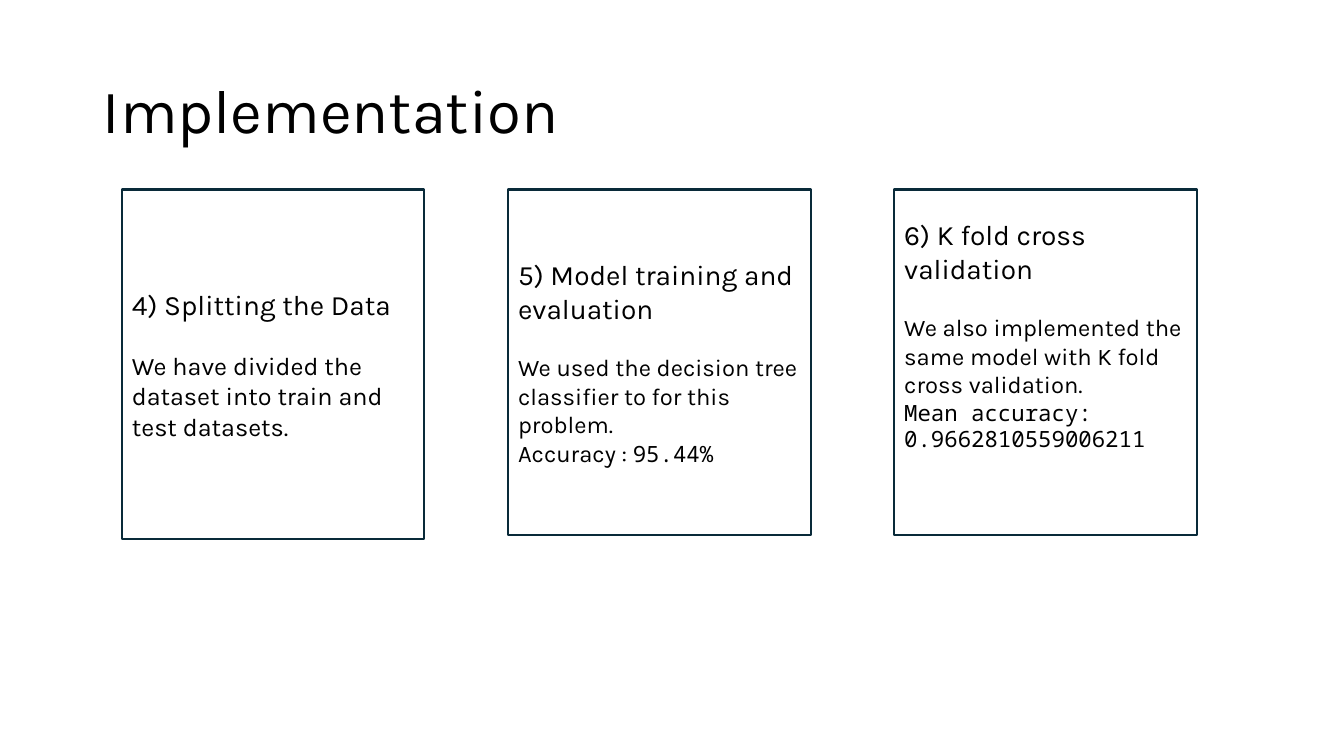
import pptx
import pptx.util
import pptx.dml.color
import pptx.enum.shapes
import pptx.enum.text

Inch = pptx.util.Inches
Pt = pptx.util.Pt
SANS, MONO = "Karla", "Noto Sans Mono"


def paint(code):
    return pptx.dml.color.RGBColor.from_string(code)


def write(para, text, size=17, font=SANS, color="000000", after=0):
    run = para.add_run()
    run.text = text
    run.font.size = Pt(size)
    run.font.name = font
    run.font.color.rgb = paint(color)
    para.alignment = pptx.enum.text.PP_ALIGN.LEFT
    para.space_after = Pt(after)


# Slide
deck = pptx.Presentation()
deck.slide_width, deck.slide_height = Inch(13.33), Inch(7.5)
slide = deck.slides.add_slide(deck.slide_layouts[5])

# Title
title = slide.shapes.title
title.left, title.top = Inch(0.92), Inch(0.4)
title.width, title.height = Inch(11.5), Inch(1.45)
title.text_frame.vertical_anchor = pptx.enum.text.MSO_ANCHOR.MIDDLE
head = title.text_frame.paragraphs[0]
head.line_spacing = 0.9
write(head, "Implementation", size=44)

# Steps: height, bottom inset, heading, gap, then lines of (text, size, font) runs
steps = [
    (3.47, 0.05, "4) Splitting the Data", 21, [
        [("We have divided the dataset into train and test datasets.", 18, SANS)],
    ]),
    (3.43, 0.05, "5) Model training and evaluation", 20, [
        [("We used the decision tree classifier to for this problem.", 17, SANS)],
        [("Accuracy : ", 17, SANS), ("95.44%", 16, MONO)],
    ]),
    (3.43, 0.59, "6) K fold cross validation", 20, [
        [("We also implemented the same model with K fold cross validation.",
          17, SANS)],
        [("Mean accuracy: 0.9662810559006211", 16, MONO)],
    ]),
]

# Boxes in three equal columns
LEFT, TOP, WIDE, PITCH = 1.21, 1.88, 3, 3.83
for col, (high, inset, name, gap, lines) in enumerate(steps):
    box = slide.shapes.add_shape(
        pptx.enum.shapes.MSO_SHAPE.RECTANGLE,
        Inch(LEFT + col * PITCH), Inch(TOP), Inch(WIDE), Inch(high))
    box.shadow.inherit = False
    box.fill.background()
    box.line.color.rgb = paint("092A39")
    box.line.width = Pt(1.5)
    frame = box.text_frame
    frame.word_wrap = True
    frame.vertical_anchor = pptx.enum.text.MSO_ANCHOR.MIDDLE
    frame.margin_bottom = Inch(inset)
    write(frame.paragraphs[0], name, size=20, after=gap)
    for line in lines:
        para = frame.add_paragraph()
        for text, size, font in line:
            write(para, text, size=size, font=font)

deck.save("out.pptx")
